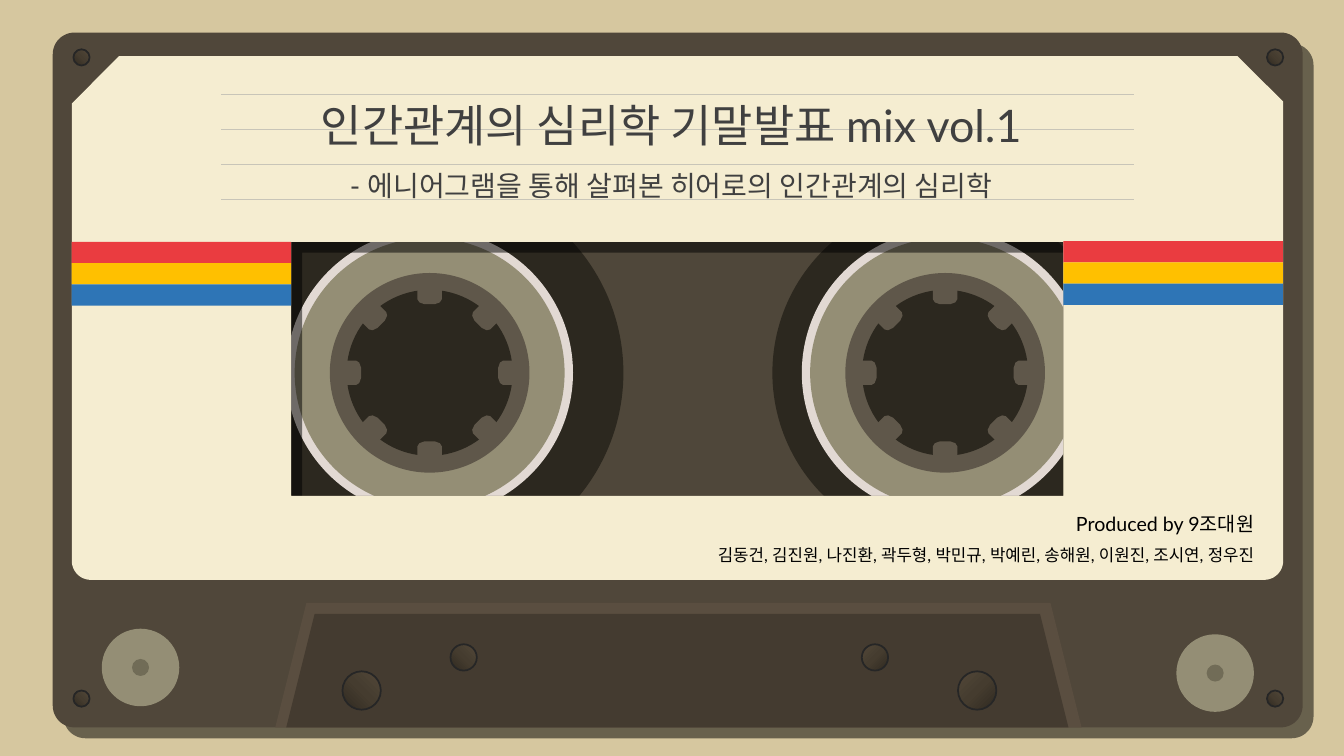
from math import cos, radians, sin

from lxml import etree
from pptx import Presentation
from pptx.dml.color import RGBColor
from pptx.enum.shapes import MSO_CONNECTOR, MSO_SHAPE
from pptx.enum.text import MSO_AUTO_SIZE, PP_ALIGN
from pptx.oxml import parse_xml
from pptx.oxml.ns import nsdecls, qn
from pptx.util import Pt

OVAL, RECT, TRAPEZOID = MSO_SHAPE.OVAL, MSO_SHAPE.RECTANGLE, MSO_SHAPE.TRAPEZOID
STRAIGHT = MSO_CONNECTOR.STRAIGHT
CENTER, RIGHT = PP_ALIGN.CENTER, PP_ALIGN.RIGHT
FIT_SHAPE = MSO_AUTO_SIZE.SHAPE_TO_FIT_TEXT

SAND = RGBColor(0xD6, 0xC7, 0x9F)
CREAM = RGBColor(0xF5, 0xED, 0xD1)
BODY = RGBColor(0x50, 0x47, 0x3A)
WINDOW_BROWN = RGBColor(0x4F, 0x47, 0x3A)
TAPE = RGBColor(0x2C, 0x28, 0x1F)
RIM = RGBColor(0xE2, 0xD9, 0xD3)
OLIVE = RGBColor(0x94, 0x8E, 0x75)
DARK_OLIVE = RGBColor(0x71, 0x6C, 0x57)
HUB = RGBColor(0x5F, 0x57, 0x4A)
BASE_EDGE = RGBColor(0x5A, 0x4E, 0x40)
BASE = RGBColor(0x44, 0x3B, 0x30)
RED = RGBColor(0xEA, 0x3C, 0x40)
YELLOW = RGBColor(0xFF, 0xC0, 0x00)
BLUE = RGBColor(0x2E, 0x75, 0xB6)
RULE = RGBColor(0xC8, 0xC5, 0xB8)
INK = RGBColor(0x40, 0x40, 0x40)
BLACK = RGBColor(0, 0, 0)
SCREW_EDGE = RGBColor(0x26, 0x26, 0x26)
SCREW_STOPS = [(0, "302A21"), (50, "453C2F"), (100, "524738")]

FONT = "Lato"
TITLE = "인간관계의 심리학 기말발표 mix vol.1"
SUBTITLE = "- 에니어그램을 통해 살펴본 히어로의 인간관계의 심리학"
PRODUCER = "Produced by 9조대원"
MEMBERS = "김동건, 김진원, 나진환, 곽두형, 박민규, 박예린, 송해원, 이원진, 조시연, 정우진"

# Left, top, right, bottom
WINDOW = (208, 172.8, 759.6, 354.3)
CASSETTE = (37.7, 23.3, 930.5, 519.6)
LABEL = (51.3, 40.1, 916.6, 414.2)

# Centre x, width of the tape's outline
REELS = [(675.1, 20), (306.9, 50)]
REEL_Y = 266.3
DISCS = [(102.4, RIM), (96.4, OLIVE), (71.3, HUB), (59.3, TAPE)]
HALF_TOOTH = [(49, 0), (49, 3.7), (50.3, 7.3), (52.5, 8.7), (60.5, 8.7),
              (62.2, 8.6), (65.5, 7.3), (67.8, 5), (69, 2)]
TOOTH = HALF_TOOTH + [(x, -y) for x, y in reversed(HALF_TOOTH[1:])]

# Centre x, centre y, radius, mirrored
CORNER_SCREWS = [(x, y, 5.8, False) for x in (58.2, 910.8) for y in (41, 499)]
BASE_SCREWS = [(258.3, 493.2, 13.7, False), (331.2, 469.6, 9.4, False),
               (698, 493.2, 13.7, True), (625, 469.6, 9.4, True)]
ROLLERS = [(100.4, 476.8), (868, 480.8)]
STRIPES = [RED, YELLOW, BLUE]
STRIPE_WIDTH, STRIPE_HEIGHT = 156.8, 15.2
STRIPE_STARTS = [(51.2, 172.8), (759.6, 172.2)]
RULE_LEFT, RULE_RIGHT, RULE_TOP, RULE_GAP = 158, 810, 67.2, 25


def paint(shape, fill, line=None, width=0):
    shape.shadow.inherit = False
    if fill is not None:
        shape.fill.solid()
        shape.fill.fore_color.rgb = fill
    if line is None:
        shape.line.fill.background()
    else:
        shape.line.color.rgb = line
        shape.line.width = Pt(width)
    return shape


def add_box(shapes, kind, left, top, width, height, fill):
    return paint(shapes.add_shape(kind, Pt(left), Pt(top), Pt(width), Pt(height)), fill)


def add_disc(shapes, x, y, radius, fill, line=None, width=0):
    disc = shapes.add_shape(OVAL, Pt(x - radius), Pt(y - radius), Pt(2 * radius), Pt(2 * radius))
    return paint(disc, fill, line, width)


def add_outline(shapes, contours, fill):
    """Draw closed contours as one shape; an inner contour cuts a hole."""
    builder = None
    for contour in contours:
        points = [(Pt(x), Pt(y)) for x, y in contour]
        if builder is None:
            builder = shapes.build_freeform(*points[0], scale=1.0)
        else:
            builder.move_to(*points[0])
        builder.add_line_segments(points[1:], close=True)
    return paint(builder.convert_to_shape(), fill)


def round_corner(x, y, radius, start):
    """Points of a quarter circle round (x, y), clockwise from start degrees."""
    angles = [radians(start + step * 7.5) for step in range(13)]
    return [(x + radius * cos(a), y + radius * sin(a)) for a in angles]


def rounded_bottom(left, right, bottom, radius):
    return (round_corner(right - radius, bottom - radius, radius, 0)
            + round_corner(left + radius, bottom - radius, radius, 90))


def add_screw(shapes, x, y, radius, mirrored):
    screw = add_disc(shapes, x, y, radius, None, SCREW_EDGE, 1.25)
    screw.fill.gradient()
    gradient = screw._element.spPr.find(qn("a:gradFill"))
    stops = gradient.find(qn("a:gsLst"))
    for stop in list(stops):
        stops.remove(stop)
    for position, color in SCREW_STOPS:
        stop = etree.SubElement(stops, qn("a:gs"), pos=str(position * 1000))
        etree.SubElement(stop, qn("a:srgbClr"), val=color)
    gradient.find(qn("a:lin")).set("ang", str(315 * 60000))
    if mirrored:
        screw._element.spPr.find(qn("a:xfrm")).set("flipH", "1")


def add_reel(page, x, outline):
    shapes = page.shapes.add_group_shape().shapes
    add_disc(shapes, x, REEL_Y, 113.4, TAPE, TAPE, outline)
    for radius, color in DISCS:
        add_disc(shapes, x, REEL_Y, radius, color)
    for step in range(8):
        c, s = cos(radians(45 * step)), sin(radians(45 * step))
        tooth = [(x + u * c - v * s, REEL_Y + u * s + v * c) for u, v in TOOTH]
        add_outline(shapes, [tooth], HUB)


def add_cast_shadow(shape):
    effects = shape._element.spPr.find(qn("a:effectLst"))
    effects.append(parse_xml(
        f'<a:outerShdw {nsdecls("a")} blurRad="0" dist="{Pt(11)}" dir="2700000" algn="tl" '
        'rotWithShape="0"><a:srgbClr val="000000"><a:alpha val="51000"/></a:srgbClr>'
        '</a:outerShdw>'))


def add_text(page, left, top, width, height, lines, color, align):
    """Add a text box; each line is text, size and line spacing."""
    frame = page.shapes.add_textbox(Pt(left), Pt(top), Pt(width), Pt(height)).text_frame
    frame.word_wrap = True
    frame.auto_size = FIT_SHAPE
    for index, (text, size, spacing) in enumerate(lines):
        para = frame.add_paragraph() if index else frame.paragraphs[0]
        para.alignment = align
        if spacing:
            para.line_spacing = spacing
        span = para.add_run()
        span.text = text
        span.font.name, span.font.size = FONT, Pt(size)
        span.font.color.rgb = color


def main():
    deck = Presentation()
    deck.slide_width, deck.slide_height = Pt(960), Pt(540)
    page = deck.slides.add_slide(deck.slide_layouts[6])
    page.background.fill.solid()
    page.background.fill.fore_color.rgb = SAND
    shapes = page.shapes

    left, top, right, bottom = WINDOW
    hole = [(left, top), (left, bottom), (right, bottom), (right, top)]
    add_box(shapes, RECT, left, top, right - left, bottom - top, WINDOW_BROWN)
    for x, outline in REELS:
        add_reel(page, x, outline)

    left, top, right, bottom = CASSETTE
    radius = 15.5
    edge = (round_corner(left + radius, top + radius, radius, 180)
            + round_corner(right - radius, top + radius, radius, 270)
            + rounded_bottom(left, right, bottom, radius))
    add_cast_shadow(add_outline(shapes, [hole, edge], BODY))

    left, top, right, bottom = LABEL
    edge = [(left, 74), (85, top), (884, top), (right, 72.6)]
    edge += rounded_bottom(left, right, bottom, 13.6)
    add_outline(shapes, [hole, edge], CREAM)

    add_box(shapes, TRAPEZOID, 196.6, 430.6, 576, 89, BASE_EDGE)
    add_box(shapes, TRAPEZOID, 204.5, 438.5, 558.7, 81.1, BASE)
    for left, top in STRIPE_STARTS:
        band = shapes.add_group_shape().shapes
        for row, color in enumerate(STRIPES):
            add_box(band, RECT, left, top + row * STRIPE_HEIGHT,
                    STRIPE_WIDTH, STRIPE_HEIGHT, color)
    for screw in CORNER_SCREWS + BASE_SCREWS:
        add_screw(shapes, *screw)
    for x, y in ROLLERS:
        add_disc(shapes, x, y, 27.7, OLIVE)
        add_disc(shapes, x, y, 6.1, DARK_OLIVE)

    rules = shapes.add_group_shape().shapes
    for row in range(4):
        y = Pt(RULE_TOP + row * RULE_GAP)
        rule = rules.add_connector(STRAIGHT, Pt(RULE_LEFT), y, Pt(RULE_RIGHT), y)
        rule.line.color.rgb = RULE
        rule.line.width = Pt(0.25)
        etree.SubElement(rule._element.spPr, qn("a:effectLst"))

    add_text(page, 205.2, 66.2, 548.6, 79.2, [(TITLE, 32, None), (SUBTITLE, 20, 1.5)], INK, CENTER)
    add_text(page, 135.4, 385.9, 767.5, 21.6, [(MEMBERS, 12, None)], BLACK, RIGHT)
    add_text(page, 135.4, 362.2, 767.5, 24.5, [(PRODUCER, 14, None)], BLACK, RIGHT)
    deck.save("out.pptx")


if __name__ == "__main__":
    main()
